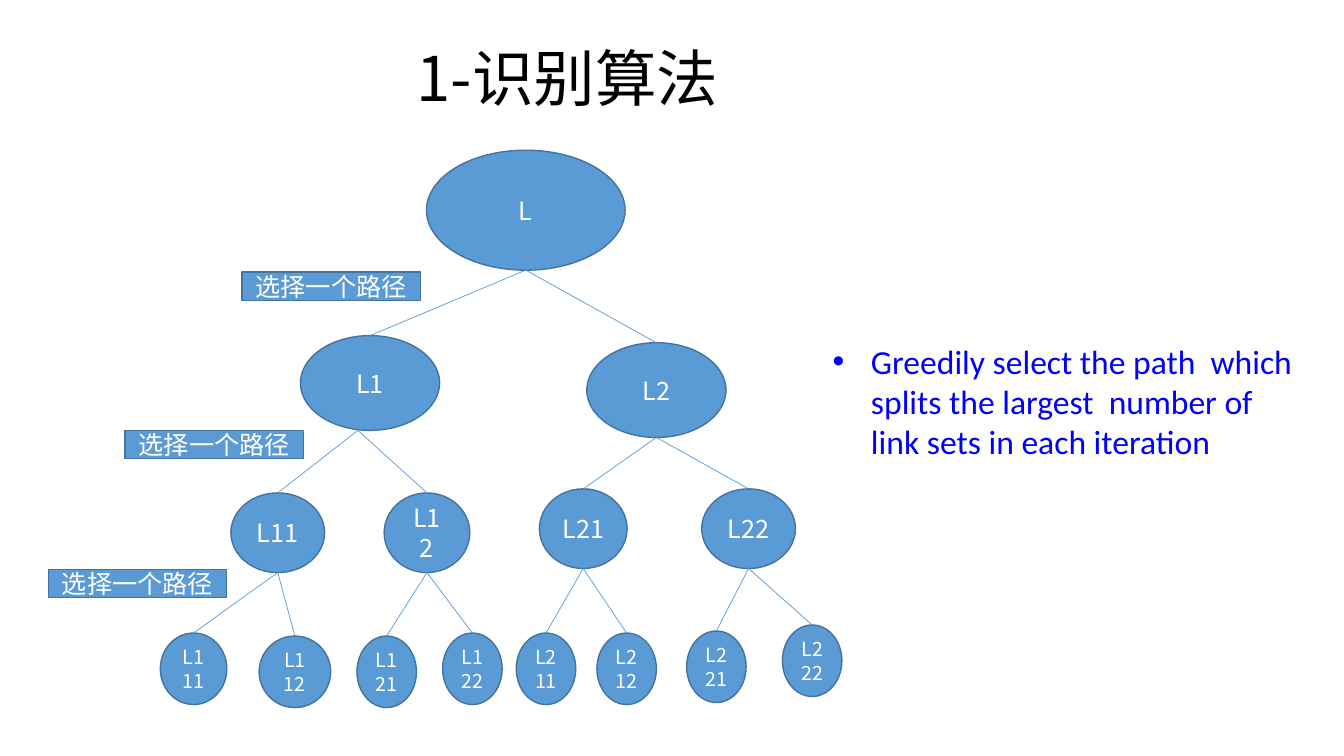
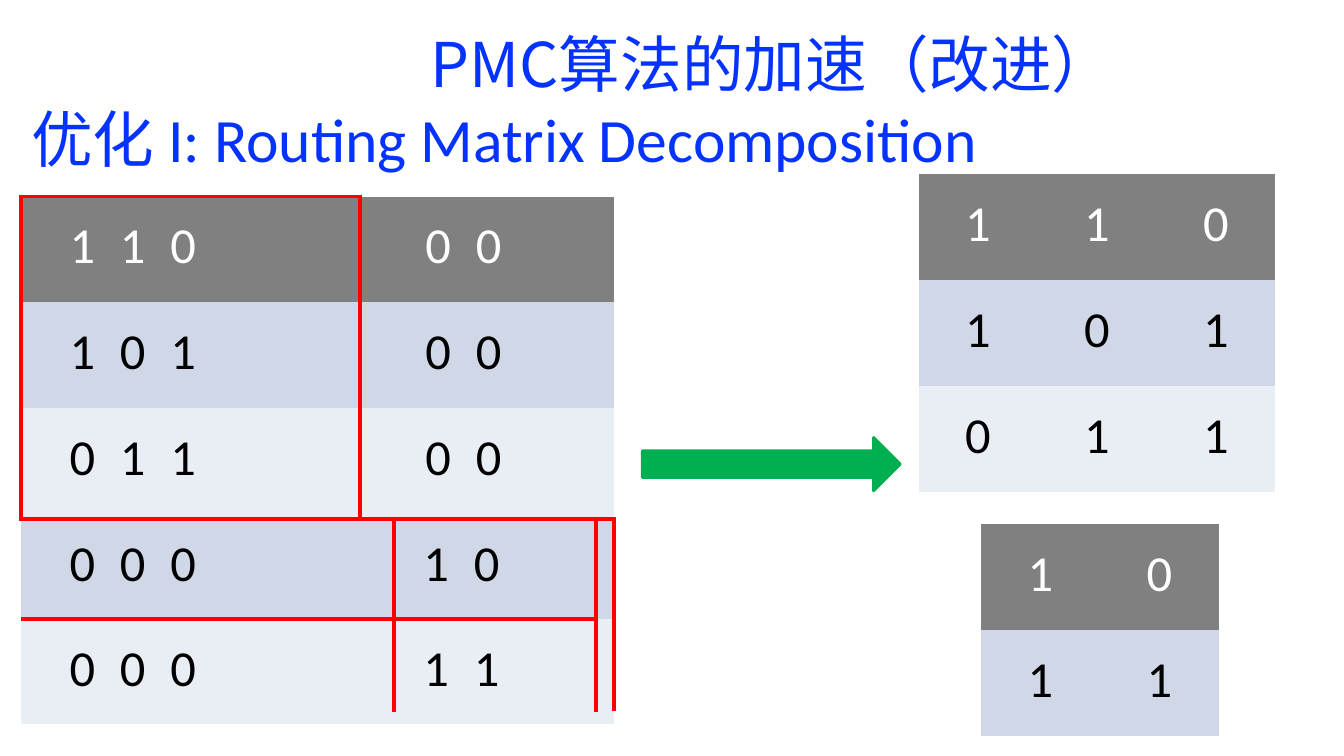
from dataclasses import dataclass
from typing import Any, Optional

from lxml import etree
from pptx import Presentation
from pptx.dml.color import RGBColor
from pptx.enum import shapes, text
from pptx.oxml import ns
from pptx.util import Inches, Pt

COLORS = {
    "black": "000000", "white": "FFFFFF", "heading": "0432FF", "bullet": "0000FF",
    "node": "5B9BD5", "node_edge": "43739E", "header": "808080",
    "band_dark": "D0D8E8", "band_light": "E9EDF4", "mark": "FF0000", "arrow": "00B050",
}
CJK, LATIN = "Noto Sans CJK SC", "Calibri"
TITLE_SIZE, DIGIT_SIZE = 44, 36
SIDES = ("L", "R", "T", "B")
STEPS = {"L": (0, -1, "R"), "R": (0, 1, "L"), "T": (-1, 0, "B"), "B": (1, 0, "T")}


@dataclass(frozen=True)
class Box:
    """A place on the slide, in inches."""
    left: float
    top: float
    width: float
    height: float

    def emu(self) -> tuple[int, ...]:
        """Return the four lengths as slide units."""
        return tuple(Inches(v) for v in (self.left, self.top, self.width, self.height))


@dataclass(frozen=True)
class Node:
    """A link set in the tree; its parent has the same name less one digit."""
    name: str
    box: Box
    size: int = 18
    exit_shift: float = 0


@dataclass(frozen=True)
class Entry:
    """Digits of one table cell, with the position of each digit."""
    row: int
    col: int
    digits: str
    stops: tuple[float, ...] = ()
    span: int = 1
    inset: float = 0.19


@dataclass(frozen=True)
class Stroke:
    """A red border on one side of a block of cells."""
    side: str
    rows: range
    cols: range


def leaf(name: str, left: float, top: float, width: float = 0.59) -> Node:
    """Return a bottom-level node."""
    return Node(name, Box(left, top, width, 0.71), 14)


NODES = [
    Node("L", Box(4.23, 1.49, 1.97, 1.19)),
    Node("L1", Box(2.98, 3.33, 1.38, 0.94), exit_shift=-0.12),
    Node("L2", Box(5.82, 3.4, 1.38, 0.94)),
    Node("L11", Box(2.29, 4.89, 0.93, 0.79)),
    Node("L12", Box(3.81, 4.89, 0.85, 0.79)),
    Node("L21", Box(5.35, 4.85, 0.87, 0.79)),
    Node("L22", Box(6.96, 4.85, 0.93, 0.79)),
    leaf("L111", 1.59, 6.28, 0.66), leaf("L112", 2.57, 6.31, 0.71),
    leaf("L121", 3.54, 6.31), leaf("L122", 4.39, 6.28),
    leaf("L211", 5.12, 6.28), leaf("L212", 5.92, 6.28),
    leaf("L221", 6.81, 6.26), leaf("L222", 7.76, 6.2),
]
STEP_LABELS = [(2.4, 2.7), (1.24, 4.27), (0.48, 5.65)]

UPPER_LEFT, UPPER_RIGHT = (0.48, 1.66, 2.83), (0.65, 1.83)
LOWER_LEFT, LOWER_RIGHT = (0.48, 2.12, 3.21), (0.29, 1.51)
ROUTING = [
    *(Entry(r, 0, d, UPPER_LEFT) for r, d in enumerate(("110", "101", "011"))),
    *(Entry(r, 1, "00", UPPER_RIGHT, span=3) for r in range(3)),
    *(Entry(r, 0, "000", LOWER_LEFT, 2, i) for r, i in ((3, 0.14), (4, 0.19))),
    Entry(3, 2, "10", LOWER_RIGHT, inset=0.14), Entry(4, 2, "11", LOWER_RIGHT),
    Entry(5, 0, "", span=4, inset=0),
]
ROUTING_MARKS = [
    Stroke("T", range(1), range(1)),
    Stroke("L", range(3), range(1)),
    Stroke("R", range(3), range(1)),
    Stroke("B", range(2, 3), range(4)),
    Stroke("B", range(3, 4), range(3)),
    Stroke("L", range(3, 5), range(2, 3)),
    Stroke("R", range(3, 5), range(2, 4)),
    Stroke("B", range(4, 5), range(2, 3)),
]


def rgb(name: str) -> RGBColor:
    """Look up a named colour."""
    return RGBColor.from_string(COLORS[name])


def write(frame: Any, content: str, *, size: float, color: str, font: str = CJK,
          align: Any = text.PP_ALIGN.LEFT, anchor: Any = text.MSO_ANCHOR.TOP,
          insets: Optional[tuple[float, ...]] = None, indent: float = 0,
          hanging: float = 0, bullet: str = "", tabs: tuple[float, ...] = ()) -> None:
    """Fill a text frame with one formatted paragraph."""
    frame.word_wrap = True
    frame.auto_size = text.MSO_AUTO_SIZE.NONE
    frame.vertical_anchor = anchor
    if insets:
        (frame.margin_left, frame.margin_top,
         frame.margin_right, frame.margin_bottom) = map(Inches, insets)
    fill_paragraph(frame.paragraphs[0], content, size=size, color=color, font=font,
                   align=align, indent=indent, hanging=hanging, bullet=bullet, tabs=tabs)


def fill_paragraph(paragraph: Any, content: str, *, size: float, color: str, font: str,
                   align: Any, indent: float = 0, hanging: float = 0,
                   bullet: str = "", tabs: tuple[float, ...] = ()) -> None:
    """Write one run and set the paragraph's indents, bullet and tab stops."""
    paragraph.alignment = align
    props = paragraph._p.get_or_add_pPr()
    props.set("marL", str(Inches(indent)))
    props.set("indent", str(Inches(hanging)))
    if bullet:
        etree.SubElement(props, ns.qn("a:buFont"), typeface="Arial")
        etree.SubElement(props, ns.qn("a:buChar"), char=bullet)
    if tabs:
        stops = etree.SubElement(props, ns.qn("a:tabLst"))
        for stop in tabs:
            etree.SubElement(stops, ns.qn("a:tab"), pos=str(Inches(stop)), algn="l")
    run = paragraph.add_run()
    run.text = content
    run.font.size, run.font.name = Pt(size), font
    run.font.color.rgb = rgb(color)
    etree.SubElement(run._r.get_or_add_rPr(), ns.qn("a:ea"), typeface=CJK)


def add_title(slide: Any, content: str, box: Box, **style: Any) -> None:
    """Place and format the title placeholder."""
    title = slide.shapes.title
    title.left, title.top, title.width, title.height = box.emu()
    write(title.text_frame, content, size=TITLE_SIZE, **style)


def add_text(slide: Any, content: str, box: Box, **style: Any) -> None:
    """Add a text box."""
    write(slide.shapes.add_textbox(*box.emu()).text_frame, content, **style)


def add_solid(slide: Any, kind: Any, box: Box, fill: str, edge: str, width: float) -> Any:
    """Add a filled, outlined preset shape without a shadow."""
    solid = slide.shapes.add_shape(kind, *box.emu())
    solid.shadow.inherit = False
    solid.fill.solid()
    solid.fill.fore_color.rgb = rgb(fill)
    solid.line.color.rgb = rgb(edge)
    solid.line.width = Pt(width)
    return solid


def add_label(slide: Any, kind: Any, content: str, box: Box, size: int = 18) -> None:
    """Add a blue shape with centred white text."""
    label = add_solid(slide, kind, box, "node", "node_edge", 1)
    write(label.text_frame, content, size=size, color="white",
          align=text.PP_ALIGN.CENTER, anchor=text.MSO_ANCHOR.MIDDLE)


def add_branch(slide: Any, parent: Node, child: Node) -> None:
    """Join the bottom of a parent to the top of its child."""
    start, end = parent.box, child.box
    branch = slide.shapes.add_connector(
        shapes.MSO_CONNECTOR.STRAIGHT,
        Inches(start.left + start.width / 2 + parent.exit_shift),
        Inches(start.top + start.height),
        Inches(end.left + end.width / 2), Inches(end.top))
    branch.line.color.rgb = rgb("node")
    branch.line.width = Pt(0.5)
    etree.SubElement(branch._element.spPr, ns.qn("a:effectLst"))


def set_borders(cell: Any, marked: set[str]) -> None:
    """Draw the marked sides of a cell in red and clear the others."""
    props = cell._tc.get_or_add_tcPr()
    for side in SIDES:
        line = etree.SubElement(props, ns.qn(f"a:ln{side}"))
        if side in marked:
            line.set("w", str(Pt(3)))
            paint = etree.SubElement(line, ns.qn("a:solidFill"))
            etree.SubElement(paint, ns.qn("a:srgbClr"), val=COLORS["mark"])
        else:
            etree.SubElement(line, ns.qn("a:noFill"))


def marked_sides(strokes: list[Stroke]) -> dict[tuple[int, int], set[str]]:
    """Collect the red sides of every cell, on both faces of each edge."""
    sides: dict[tuple[int, int], set[str]] = {}
    for stroke in strokes:
        down, across, facing = STEPS[stroke.side]
        for row in stroke.rows:
            for col in stroke.cols:
                sides.setdefault((row, col), set()).add(stroke.side)
                sides.setdefault((row + down, col + across), set()).add(facing)
    return sides


def add_matrix(slide: Any, left: float, top: float, widths: list[float],
               heights: list[float], entries: list[Entry],
               strokes: Optional[list[Stroke]] = None) -> None:
    """Add a banded table of digits with optional red borders."""
    box = Box(left, top, sum(widths), sum(heights))
    matrix = slide.shapes.add_table(len(heights), len(widths), *box.emu()).table
    for column, width in zip(matrix.columns, widths):
        column.width = Inches(width)
    for row, height in zip(matrix.rows, heights):
        row.height = Inches(height)
    sides = marked_sides(strokes or [])
    for r in range(len(heights)):
        band = "header" if r == 0 else ("band_dark" if r % 2 else "band_light")
        if r == 5:
            band = "band_light"
        for c in range(len(widths)):
            cell = matrix.cell(r, c)
            set_borders(cell, sides.get((r, c), set()))
            cell.fill.solid()
            cell.fill.fore_color.rgb = rgb(band)
            cell.margin_left = cell.margin_right = cell.margin_top = cell.margin_bottom = 0
            closing = cell.text_frame.paragraphs[0]._p
            etree.SubElement(closing, ns.qn("a:endParaRPr"), sz="100")
    for entry in entries:
        cell = matrix.cell(entry.row, entry.col)
        if entry.span > 1:
            cell.merge(matrix.cell(entry.row, entry.col + entry.span - 1))
        cell.margin_top = Inches(entry.inset)
        if entry.digits:
            fill_paragraph(
                cell.text_frame.paragraphs[0], "\t".join(entry.digits),
                size=DIGIT_SIZE, font=LATIN, color="black" if entry.row else "white",
                align=text.PP_ALIGN.LEFT if entry.stops else text.PP_ALIGN.CENTER,
                indent=entry.stops[0] if entry.stops else 0, tabs=entry.stops[1:])


def add_block(slide: Any, left: float, top: float, rows: list[str]) -> None:
    """Add a decomposed matrix with equal cells."""
    entries = [Entry(r, c, digit) for r, row in enumerate(rows) for c, digit in enumerate(row)]
    add_matrix(slide, left, top, [1.18] * len(rows[0]), [1.05] * len(rows), entries)


def build_tree(slide: Any) -> None:
    """Draw the recognition algorithm as a tree of link sets."""
    add_title(slide, "1-识别算法", Box(3.03, 0.38, 8.02, 0.76), color="black",
              anchor=text.MSO_ANCHOR.MIDDLE, insets=(0, 0.01, 0, 0), indent=1.1)
    add_text(slide, "Greedily select the path  which splits the largest  number of link "
             "sets in each iteration", Box(8.15, 3.33, 4.91, 1.31), size=24,
             color="bullet", font=LATIN, indent=0.39, hanging=-0.38, bullet="•")
    by_name = {node.name: node for node in NODES}
    for node in NODES:
        add_label(slide, shapes.MSO_SHAPE.OVAL, node.name, node.box, node.size)
    for node in NODES[1:]:
        add_branch(slide, by_name[node.name[:-1]], node)
    for left, top in STEP_LABELS:
        add_label(slide, shapes.MSO_SHAPE.RECTANGLE, "选择一个路径", Box(left, top, 1.77, 0.28))


def build_decomposition(slide: Any) -> None:
    """Show the routing matrix split into two smaller ones."""
    add_title(slide, "PMC算法的加速（改进）", Box(4.17, 0.21, 7.21, 0.84), color="heading")
    add_text(slide, "优化 I: Routing Matrix Decomposition", Box(0.21, 0.95, 12.33, 0.84),
             size=TITLE_SIZE, color="heading", font=LATIN)
    add_matrix(slide, 0.21, 1.95, [3.36, 0.34, 2, 0.18],
               [1.05, 1.05, 1.1, 0.99, 0.91, 0.13], ROUTING, ROUTING_MARKS)
    add_block(slide, 9.11, 1.73, ["110", "101", "011"])
    add_block(slide, 9.73, 5.2, ["10", "11"])
    add_solid(slide, shapes.MSO_SHAPE.RIGHT_ARROW, Box(6.37, 4.34, 2.56, 0.53),
              "arrow", "arrow", 2)


def main() -> None:
    """Build the presentation."""
    deck = Presentation()
    deck.slide_width, deck.slide_height = Inches(13.33), Inches(7.5)
    for build in (build_tree, build_decomposition):
        build(deck.slides.add_slide(deck.slide_layouts[5]))
    deck.save("out.pptx")


main()
